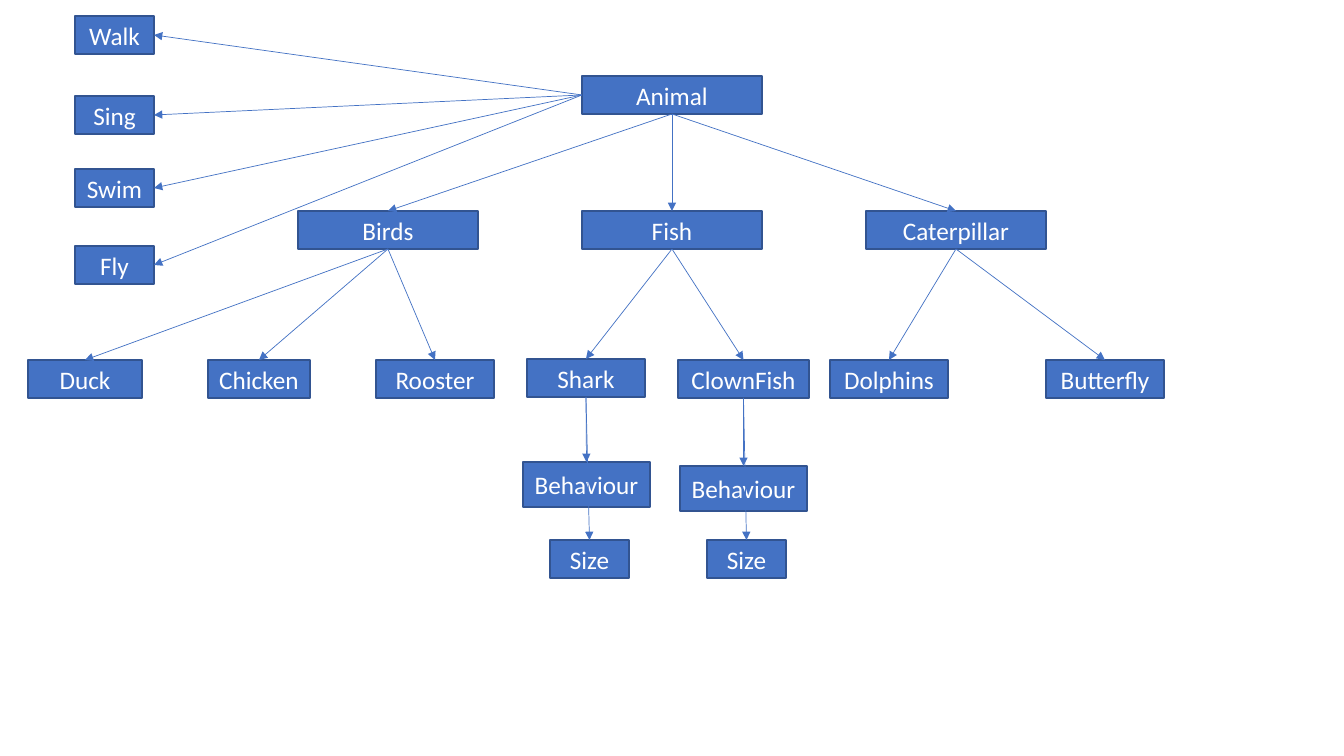
from pptx import Presentation
from pptx.dml.color import RGBColor
from pptx.enum.shapes import MSO_CONNECTOR, MSO_SHAPE
from pptx.enum.text import MSO_ANCHOR, PP_ALIGN
from pptx.oxml.ns import qn
from pptx.util import Pt
from lxml.etree import SubElement

# Content: name, left, top, width (pixels)
ROOT = ("Animal", 582, 76, 180)
SKILLS = [("Walk", 16), ("Sing", 96), ("Swim", 169), ("Fly", 246)]
GROUPS = [
    ("Birds", [("Duck", 28, 360, 114), ("Chicken", 208, 360, 102),
               ("Rooster", 376, 360, 118)]),
    ("Fish", [("Shark", 527, 359, 118), ("ClownFish", 678, 360, 131)]),
    ("Caterpillar", [("Dolphins", 830, 360, 118),
                     ("Butterfly", 1046, 360, 118)]),
]
TRAITS = {  # kind: left and top of its behaviour box
    "Shark": (523, 462),
    "ClownFish": (680, 466),
}

# Layout and style
WIDE, HIGH = 1344, 756
ROW = 38
SMALL = 79
SKILL_X = 75
GROUP_X, GROUP_Y, GROUP_W, GROUP_STEP = 298, 211, 180, 284
TRAIT_W, TRAIT_H = 127, 45
SIZE_Y = 540
TOP, LEFT, BOTTOM, RIGHT = range(4)  # connection sites of a rectangle
BLUE = RGBColor(0x44, 0x72, 0xC4)
NAVY = RGBColor(0x32, 0x54, 0x91)
WHITE = RGBColor(0xFF, 0xFF, 0xFF)


def px(n):
    return round(n * 914400 / 100.8)


deck = Presentation()
deck.slide_width, deck.slide_height = px(WIDE), px(HIGH)
slide = deck.slides.add_slide(deck.slide_layouts[6])
links = []


def box(name, x, y, w, h=ROW):
    shape = slide.shapes.add_shape(
        MSO_SHAPE.RECTANGLE, px(x), px(y), px(w), px(h))
    shape.shadow.inherit = False
    shape.fill.solid()
    shape.fill.fore_color.rgb = BLUE
    shape.line.color.rgb = NAVY
    shape.line.width = Pt(1)
    frame = shape.text_frame
    frame.vertical_anchor = MSO_ANCHOR.MIDDLE
    para = frame.paragraphs[0]
    para.alignment = PP_ALIGN.CENTER
    run = para.add_run()
    run.text = name
    run.font.name = "Calibri"
    run.font.size = Pt(18)
    run.font.color.rgb = WHITE
    return shape


def link(start, end, out=BOTTOM, into=TOP):
    line = slide.shapes.add_connector(MSO_CONNECTOR.STRAIGHT, 0, 0, 0, 0)
    line.begin_connect(start, out)
    line.end_connect(end, into)
    line.line.color.rgb = BLUE
    line.line.width = Pt(0.5)
    SubElement(line.line._get_or_add_ln(), qn("a:tailEnd"), type="triangle")
    SubElement(line._element.spPr, qn("a:effectLst"))


# Animal and its skills
root = box(*ROOT)
for name, y in SKILLS:
    links.append((root, box(name, SKILL_X, y, SMALL), LEFT, RIGHT))

# Groups, kinds and traits
for i, (name, kinds) in enumerate(GROUPS):
    group = box(name, GROUP_X + i * GROUP_STEP, GROUP_Y, GROUP_W)
    links.append((root, group))
    for spot in kinds:
        kind = box(*spot)
        links.append((group, kind))
        if spot[0] in TRAITS:
            x, y = TRAITS[spot[0]]
            trait = box("Behaviour", x, y, TRAIT_W, TRAIT_H)
            size = box("Size", x + (TRAIT_W - SMALL) / 2 + 3, SIZE_Y, SMALL)
            links += [(kind, trait), (kind, size)]

# Arrows lie above all boxes
for ends in links:
    link(*ends)

deck.save("out.pptx")
